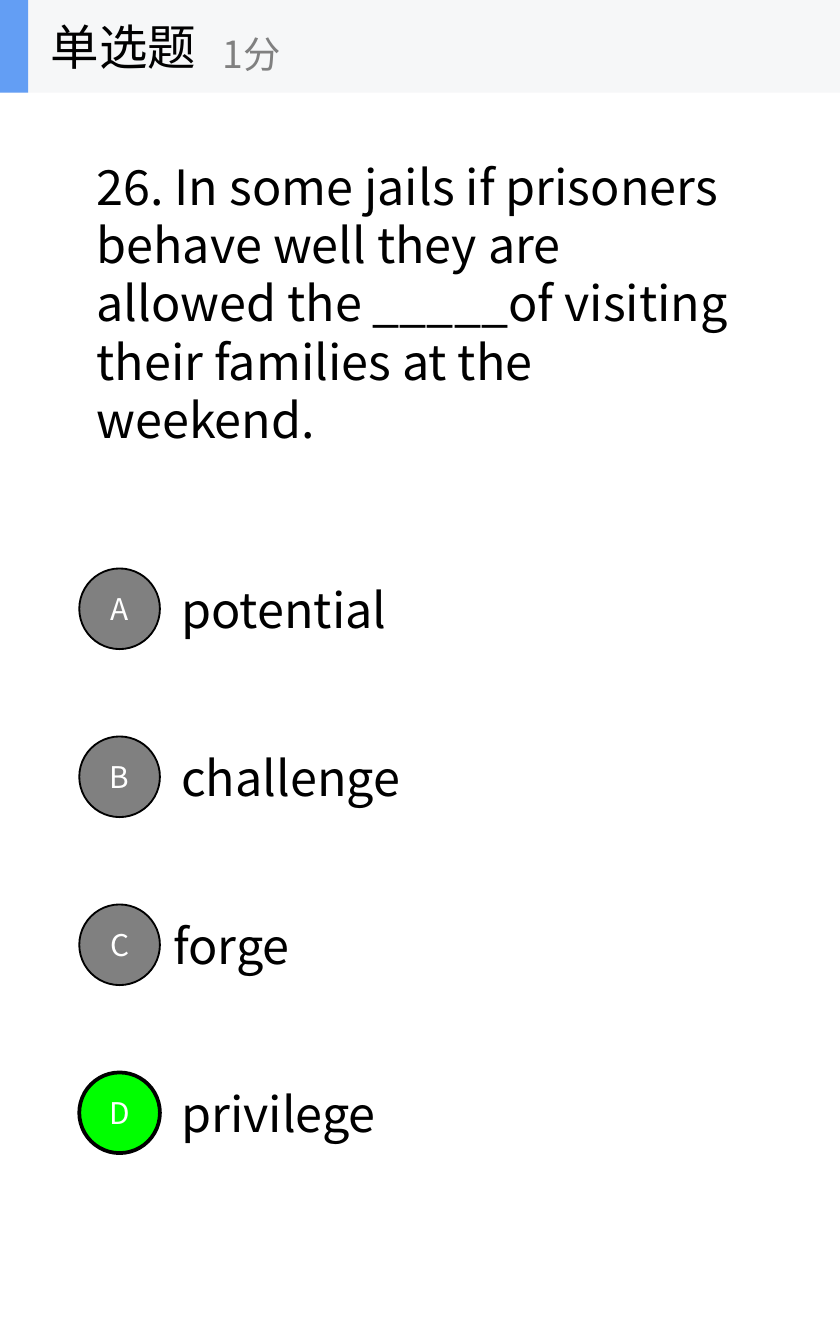
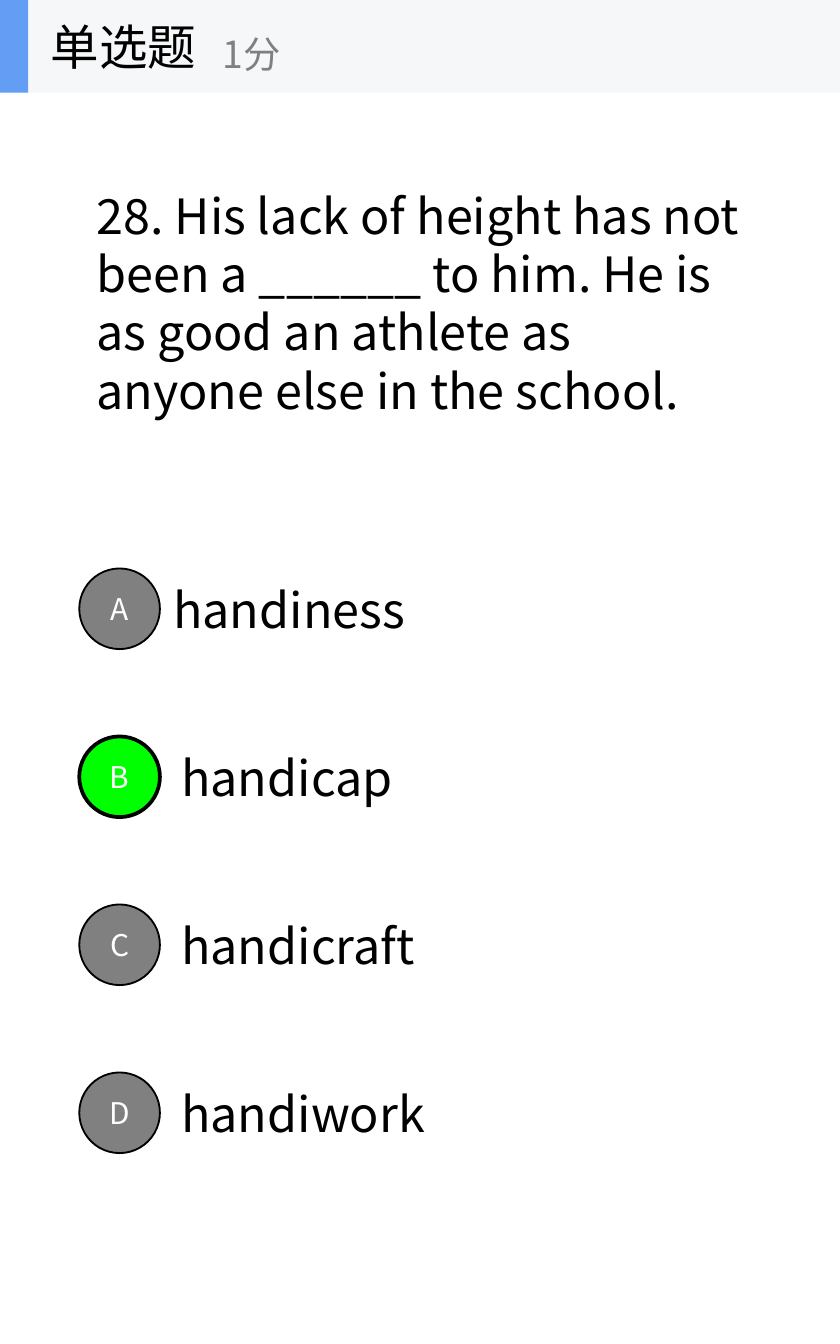
from lxml.etree import SubElement
from pptx import Presentation
from pptx.dml.color import RGBColor
from pptx.enum.shapes import MSO_SHAPE
from pptx.enum.text import MSO_ANCHOR, PP_ALIGN
from pptx.oxml.ns import qn
from pptx.util import Inches, Pt

FONT = "Noto Sans CJK SC"
BLACK, WHITE, GRAY = "000000", "FFFFFF", "808080"
GREEN, BLUE, BAND = "00FF00", "639EF4", "F6F7F8"

BAND_HEIGHT = 0.69
OPTION_TOP, OPTION_STEP, OPTION_HEIGHT = 4.06, 1.25, 0.94
BADGE_SIZE = 0.6

# Question, correct letter, options as (text, left edge)
questions = [
    ("26. In some jails if prisoners behave well they are allowed the "
     "_____of visiting their families at the weekend.", "D",
     [("potential", 1.25), ("challenge", 1.25), ("forge", 1.19), ("privilege", 1.25)]),
    ("28. His lack of height has not been a ______ to him. "
     "He is as good an athlete as anyone else in the school.", "B",
     [("handiness", 1.19), ("handicap", 1.25), ("handicraft", 1.25), ("handiwork", 1.25)]),
]


def add_filled(shapes, kind, place, fill):
    shape = shapes.add_shape(kind, *map(Inches, place))
    shape.shadow.inherit = False
    shape.fill.solid()
    shape.fill.fore_color.rgb = RGBColor.from_string(fill)
    shape.line.fill.background()
    return shape


def write(box, text, size=26, color=BLACK, align=PP_ALIGN.LEFT):
    """Put one run, vertically centred, in a text box or shape."""
    frame = box.text_frame
    frame.word_wrap = True
    frame.vertical_anchor = MSO_ANCHOR.MIDDLE
    para = frame.paragraphs[0]
    para.alignment = align
    span = para.add_run()
    span.text = text
    span.font.size = Pt(size)
    span.font.name = FONT
    span.font.color.rgb = RGBColor.from_string(color)
    SubElement(span.font._element, qn("a:ea"), typeface=FONT)


deck = Presentation()
deck.slide_width, deck.slide_height = Inches(6.25), Inches(10)

for question, answer, options in questions:
    page = deck.slides.add_slide(deck.slide_layouts[6])
    shapes = page.shapes
    write(shapes.add_textbox(*map(Inches, (0.62, 0.69, 5, 3.12))), question)

    for row, (option, left) in enumerate(options):
        top = OPTION_TOP + row * OPTION_STEP
        place = (left, top, 4.38, OPTION_HEIGHT)
        write(shapes.add_textbox(*map(Inches, place)), option)

    for row, letter in enumerate("ABCD"):
        top = OPTION_TOP + row * OPTION_STEP + (OPTION_HEIGHT - BADGE_SIZE) / 2
        correct = letter == answer
        badge = add_filled(shapes, MSO_SHAPE.OVAL, (0.59, top, BADGE_SIZE, BADGE_SIZE),
                           GREEN if correct else GRAY)
        badge.line.color.rgb = RGBColor.from_string(BLACK)
        badge.line.width = Pt(2 if correct else 1)
        write(badge, letter, 16, WHITE, PP_ALIGN.CENTER)

    header = shapes.add_group_shape().shapes
    add_filled(header, MSO_SHAPE.RECTANGLE, (0, 0, 6.25, BAND_HEIGHT), BAND)
    add_filled(header, MSO_SHAPE.RECTANGLE, (0, 0, 0.21, BAND_HEIGHT), BLUE)
    write(header.add_textbox(*map(Inches, (0.28, 0, 2.08, BAND_HEIGHT))), "单选题")
    write(header.add_textbox(*map(Inches, (1.56, 0.12, 2.5, 0.56))), "1分", 20, GRAY)

deck.save("out.pptx")
